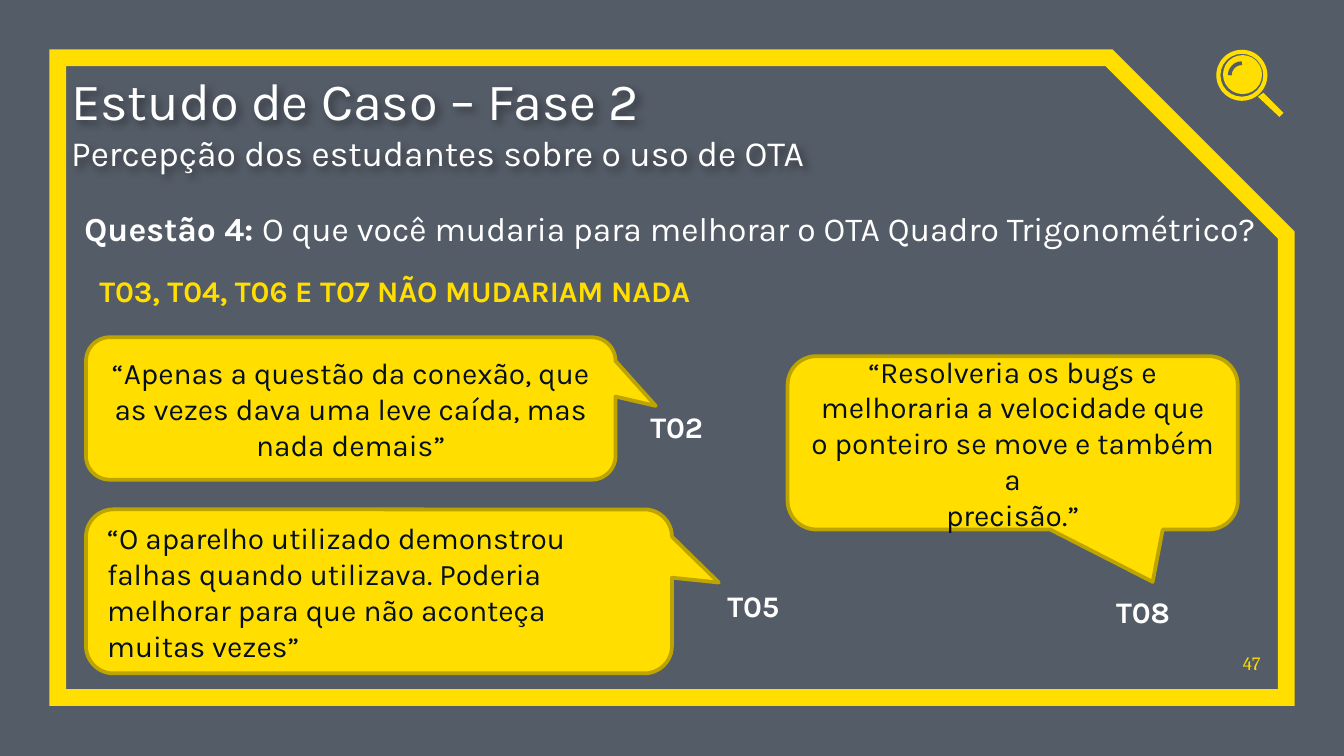
"""Build the slide on students' perception of the learning object, question 4."""
import pptx
import pptx.util
import pptx.dml.color
import pptx.enum.shapes
import pptx.enum.text
from lxml import etree

Inches = pptx.util.Inches
Pt = pptx.util.Pt
RGBColor = pptx.dml.color.RGBColor
SHAPE = pptx.enum.shapes.MSO_SHAPE
ALIGN = pptx.enum.text.PP_ALIGN
ANCHOR = pptx.enum.text.MSO_ANCHOR

SLATE = RGBColor(0x54, 0x5C, 0x67)
YELLOW = RGBColor(0xFF, 0xDE, 0x00)
OLIVE = RGBColor(0xBD, 0xA4, 0x00)
NAVY = RGBColor(0x04, 0x0F, 0x20)
WHITE = RGBColor(0xFF, 0xFF, 0xFF)
DRAWING = "http://schemas.openxmlformats.org/drawingml/2006/main"
SHADOW = (
    f'<a:effectLst xmlns:a="{DRAWING}"><a:outerShdw blurRad="50800" dist="38100" dir="2700000" algn="tl">'
    '<a:srgbClr val="000000"><a:alpha val="40000"/></a:srgbClr></a:outerShdw></a:effectLst>'
)

presentation = pptx.Presentation()
presentation.slide_width = Inches(10)
presentation.slide_height = Inches(10) * 9 // 16
slide = presentation.slides.add_slide(presentation.slide_layouts[5])
slide.background.fill.solid()
slide.background.fill.fore_color.rgb = SLATE


def add_shape(kind, box, fill=None, line=None, width=0, adjustments=()):
    shape = slide.shapes.add_shape(kind, *map(Inches, box))
    shape.shadow.inherit = False
    for index, value in enumerate(adjustments):
        shape.adjustments[index] = value
    if fill is None:
        shape.fill.background()
    else:
        shape.fill.solid()
        shape.fill.fore_color.rgb = fill
    if line is None:
        shape.line.fill.background()
    else:
        shape.line.color.rgb = line
        shape.line.width = Pt(width)
    return shape


def write(frame, lines, size, color, bold=False, align=ALIGN.LEFT, font="Karla"):
    frame.word_wrap = True
    frame.text = "\n".join(lines)
    for paragraph in frame.paragraphs:
        paragraph.alignment = align
        paragraph.font.name = font
        paragraph.font.size = Pt(size)
        paragraph.font.bold = bold
        paragraph.font.color.rgb = color


border = add_shape(SHAPE.SNIP_1_RECTANGLE, (0.43, 0.43, 9.14, 4.76), line=YELLOW, width=9, adjustments=[0.277])
etree.SubElement(border.line._get_or_add_ln(), f"{{{DRAWING}}}miter", lim="800000")

add_shape(SHAPE.DONUT, (9.05, 0.37, 0.38, 0.38), YELLOW, adjustments=[0.08])
add_shape(SHAPE.OVAL, (9.1, 0.41, 0.29, 0.29), YELLOW)
add_shape(SHAPE.ARC, (9.15, 0.47, 0.18, 0.18), line=SLATE, width=2, adjustments=[108, 162])
builder = slide.shapes.build_freeform(Inches(9.4), Inches(0.69), scale=1.0)
builder.add_line_segments([(Inches(x), Inches(y)) for x, y in [(9.55, 0.84), (9.52, 0.87), (9.36, 0.72)]])
handle = builder.convert_to_shape()
handle.shadow.inherit = False
handle.fill.solid()
handle.fill.fore_color.rgb = YELLOW
handle.line.fill.background()

title = slide.shapes.title
title.left, title.top, title.width, title.height = map(Inches, (0.53, 0.54, 8.41, 0.75))
title.fill.background()
title.line.fill.background()
title._element.spPr.append(etree.fromstring(SHADOW))
frame = title.text_frame
frame.margin_left = frame.margin_top = frame.margin_right = frame.margin_bottom = 0
frame.vertical_anchor = ANCHOR.BOTTOM
frame.auto_size = pptx.enum.text.MSO_AUTO_SIZE.NONE
write(frame, ["Estudo de Caso – Fase 2", "Percepção dos estudantes sobre o uso de OTA"], 28, WHITE)
frame.paragraphs[1].font.size = Pt(19)

question = slide.shapes.add_textbox(*map(Inches, (0.53, 1.5, 9.02, 0.4))).text_frame
write(question, ["Questão 4: "], 18, WHITE)
question.paragraphs[0].runs[0].font.bold = True
question.paragraphs[0].add_run().text = "O que você mudaria para melhorar o OTA Quadro Trigonométrico?"

summary = slide.shapes.add_textbox(*map(Inches, (0.64, 1.98, 4.88, 0.37)))
write(summary.text_frame, ["T03, T04, T06 E T07 NÃO MUDARIAM NADA"], 16, YELLOW, bold=True)

answers = [
    ("T02", (4.72, 2.99), (0.64, 2.51, 3.94, 1.06), (0.576, -0.018), ALIGN.CENTER,
     ["“Apenas a questão da conexão, que as vezes dava uma leve caída, mas nada demais”"]),
    ("T08", (8.19, 4.37), (5.86, 2.65, 3.35, 1.29), (0.311, 0.802), ALIGN.CENTER,
     ["“Resolveria os bugs e melhoraria a velocidade que o ponteiro se move e também a", "precisão.”"]),
    ("T05", (5.29, 4.32), (0.64, 3.79, 4.36, 1.22), (0.58, -0.054), ALIGN.LEFT,
     ["“O aparelho utilizado demonstrou falhas quando utilizava. Poderia melhorar para que não aconteça "
      "muitas vezes”"]),
]
for student, label_corner, box, tip, align, quote in answers:
    callout = add_shape(SHAPE.ROUNDED_RECTANGULAR_CALLOUT, box, YELLOW, OLIVE, 2, (*tip, 0.167))
    callout.text_frame.vertical_anchor = ANCHOR.MIDDLE
    write(callout.text_frame, quote, 16, NAVY, align=align)
    label = slide.shapes.add_textbox(*map(Inches, (*label_corner, 0.63, 0.37)))
    write(label.text_frame, [student], 16, WHITE, bold=True, align=ALIGN.CENTER)

number = slide.shapes.add_textbox(*map(Inches, (9.11, 4.74, 0.27, 0.28))).text_frame
number.margin_left = number.margin_top = number.margin_right = number.margin_bottom = 0
number.vertical_anchor = ANCHOR.BOTTOM
write(number, ["47"], 10, YELLOW, align=ALIGN.RIGHT, font="Cambria")

presentation.save("out.pptx")
